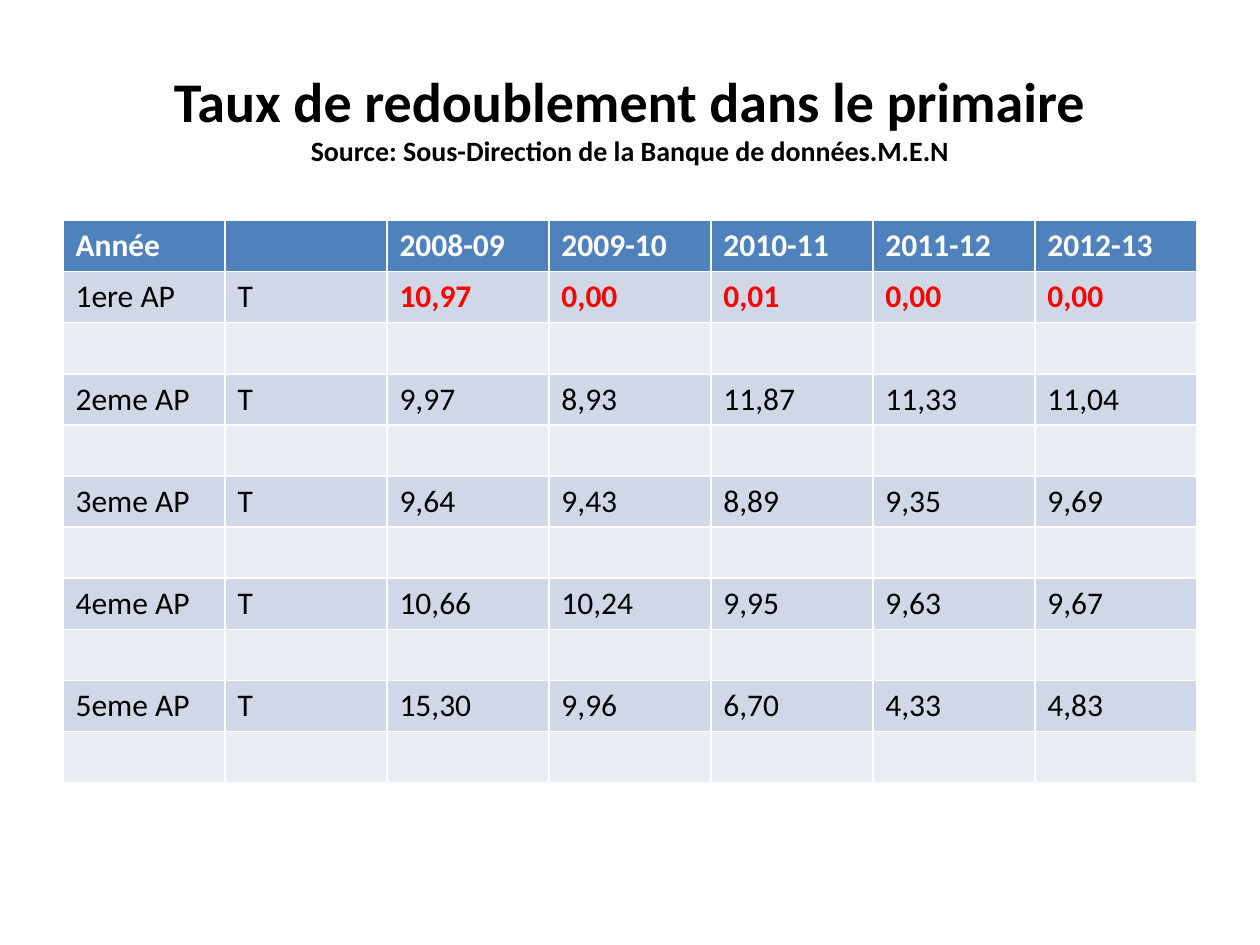
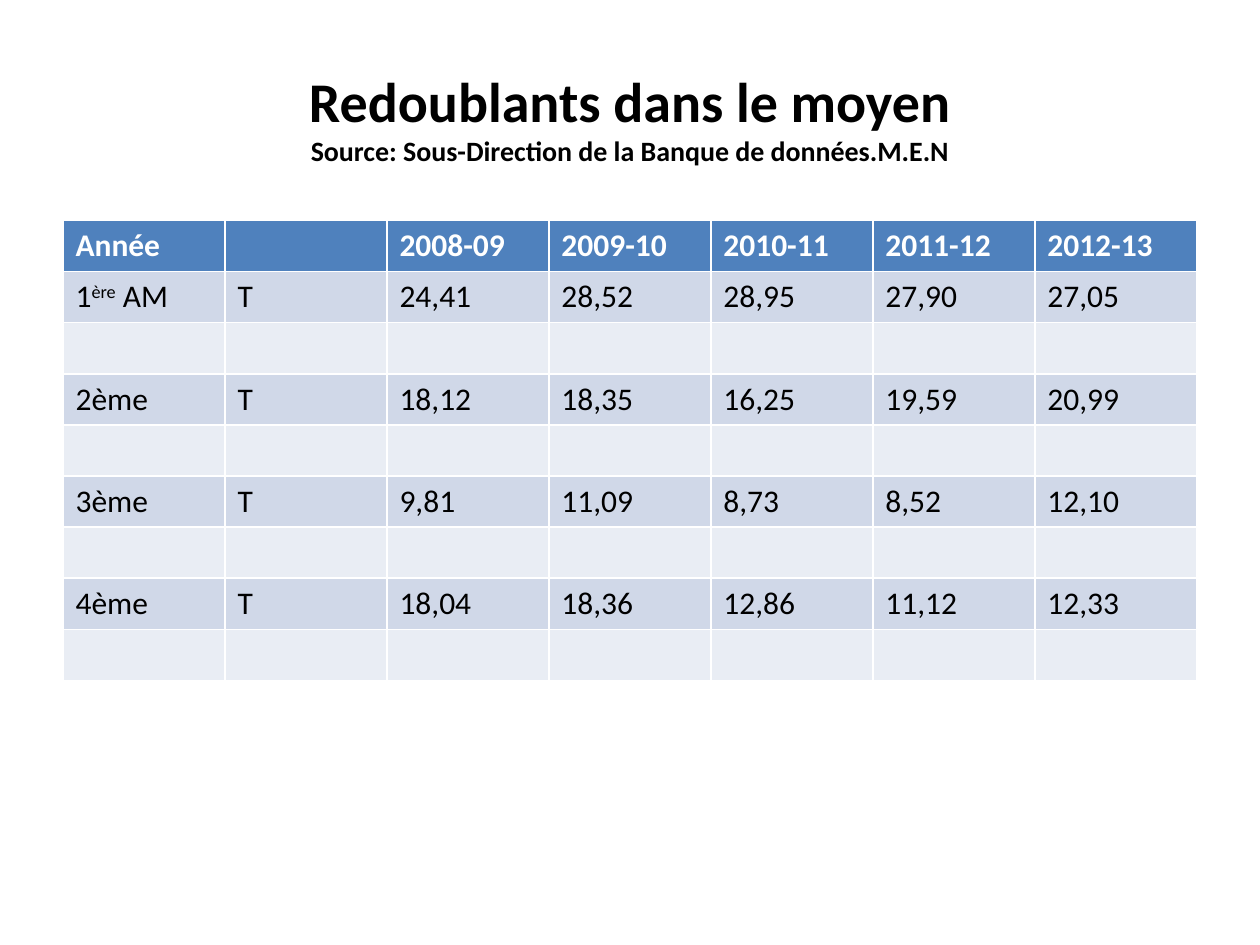
from pptx import Presentation
from pptx.dml.color import RGBColor
from pptx.enum.text import MSO_ANCHOR, PP_ALIGN
from pptx.util import Inches, Pt

FONT = "Calibri"
BLACK, WHITE, RED = "000000", "FFFFFF", "FF0000"
HEADER, DARK_BAND, LIGHT_BAND = "4F81BD", "D0D8E8", "E9EDF4"
COLUMNS, ROWS = 20, 30
LINE_ROWS = 1.62
SOURCE = "Source: Sous-Direction de la Banque de données.M.E.N"
HEADINGS = ["Année", "", "2008-09", "2009-10", "2010-11", "2011-12", "2012-13"]

PRIMARY = [
    ("1ere AP", "10,97 0,00 0,01 0,00 0,00"),
    ("2eme AP", "9,97 8,93 11,87 11,33 11,04"),
    ("3eme AP", "9,64 9,43 8,89 9,35 9,69"),
    ("4eme AP", "10,66 10,24 9,95 9,63 9,67"),
    ("5eme AP", "15,30 9,96 6,70 4,33 4,83"),
]
MIDDLE = [
    ("1^ère^ AM", "24,41 28,52 28,95 27,90 27,05"),
    ("2ème", "18,12 18,35 16,25 19,59 20,99"),
    ("3ème", "9,81 11,09 8,73 8,52 12,10"),
    ("4ème", "18,04 18,36 12,86 11,12 12,33"),
]


def colour(code):
    """Turn a hex string into a colour."""
    return RGBColor.from_string(code)


class Report:
    """Holds the deck, its style and the current page."""

    def __init__(self):
        """Start an empty deck of 10 by 7.5 inches."""
        self.deck = Presentation()
        self.deck.slide_width, self.deck.slide_height = Inches(10), Inches(7.5)
        self.page = None

    def across(self, columns):
        """Give the length of a number of grid columns."""
        return round(self.deck.slide_width * columns / COLUMNS)

    def down(self, rows):
        """Give the length of a number of grid rows."""
        return round(self.deck.slide_height * rows / ROWS)

    def style(self, para, size, code, bold):
        """Set the font of a paragraph."""
        font = para.font
        font.name, font.size, font.bold = FONT, Pt(size), bold
        font.color.rgb = colour(code)

    def add_page(self, heading):
        """Add a page with a heading above the source line."""
        self.page = self.deck.slides.add_slide(self.deck.slide_layouts[5])
        box = self.page.shapes.title
        box.left, box.top = self.across(1), self.down(1.2)
        box.width, box.height = self.across(18), self.down(5)
        box.text_frame.vertical_anchor = MSO_ANCHOR.MIDDLE
        para = box.text_frame.paragraphs[0]
        para.alignment = PP_ALIGN.CENTER
        self.style(para, 32, BLACK, True)
        span = para.add_run()
        span.text, span.font.size = heading, Pt(32)
        para.add_line_break()
        span = para.add_run()
        span.text, span.font.size = SOURCE, Pt(16)

    def fill_cell(self, cell, text, fill, code=BLACK, bold=False):
        """Fill a cell and write its text, raising what stands between carets."""
        cell.fill.solid()
        cell.fill.fore_color.rgb = colour(fill)
        para = cell.text_frame.paragraphs[0]
        self.style(para, 18, code, bold)
        for index, part in enumerate(text.split("^") if text else []):
            span = para.add_run()
            span.text = part
            if index % 2:
                span._r.get_or_add_rPr().set("baseline", "30000")

    def add_rates(self, levels, alert_level=None):
        """Add the table of rates, with an empty line after each level."""
        lines = 1 + 2 * len(levels)
        table = self.page.shapes.add_table(
            lines, len(HEADINGS), self.across(1), self.down(7),
            self.across(18), self.down(LINE_ROWS * lines)).table
        for cell, text in zip(table.rows[0].cells, HEADINGS):
            self.fill_cell(cell, text, HEADER, WHITE, True)
        for index, (level, rates) in enumerate(levels):
            texts = [level, "T", *rates.split()]
            for column, text in enumerate(texts):
                alert = level == alert_level and column > 1
                self.fill_cell(table.cell(2 * index + 1, column), text, DARK_BAND,
                               RED if alert else BLACK, alert)
                self.fill_cell(table.cell(2 * index + 2, column), "", LIGHT_BAND)


def main():
    """Build both pages and save the deck."""
    report = Report()
    report.add_page("Taux de redoublement dans le primaire")
    report.add_rates(PRIMARY, alert_level="1ere AP")
    report.add_page("Redoublants dans le moyen")
    report.add_rates(MIDDLE)
    report.deck.save("out.pptx")


if __name__ == "__main__":
    main()
